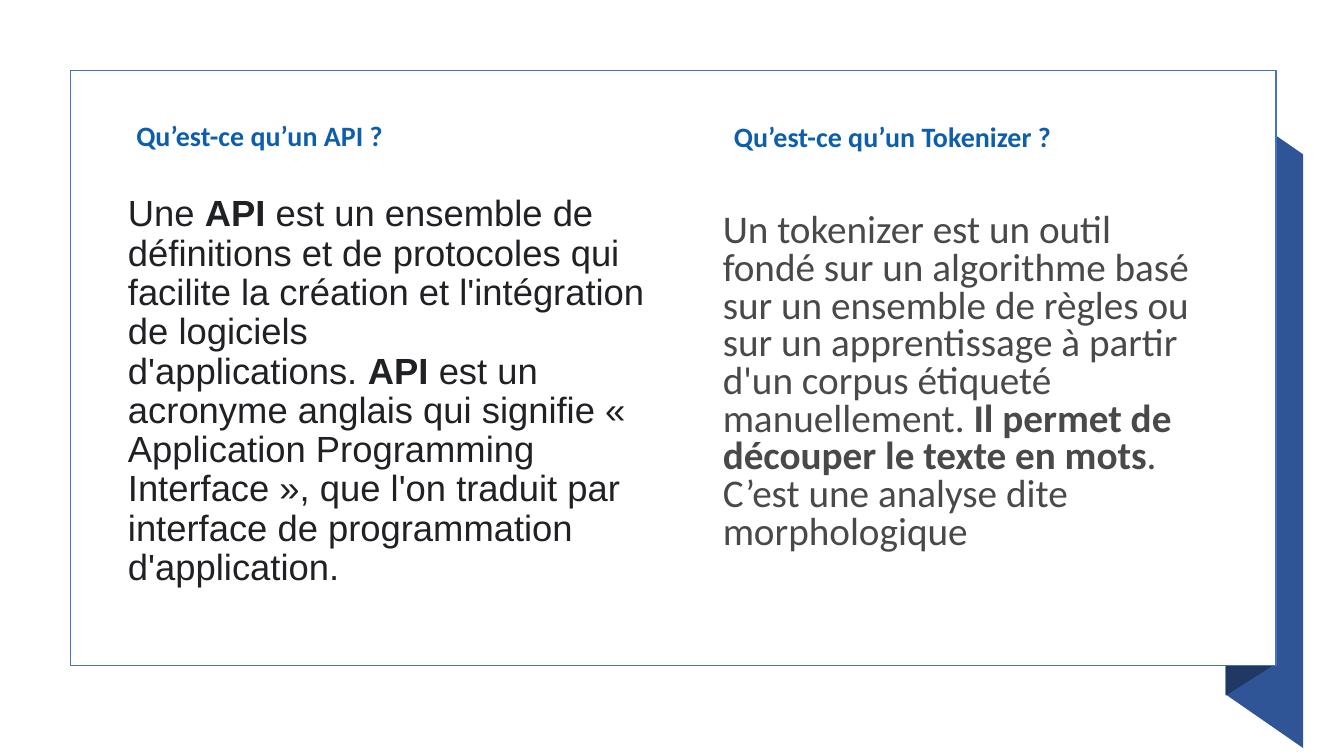
from dataclasses import dataclass

from lxml.etree import SubElement
from pptx import Presentation
from pptx.dml.color import RGBColor as RGB
from pptx.enum.shapes import MSO_SHAPE as Shape
from pptx.enum.text import MSO_ANCHOR as Anchor, MSO_AUTO_SIZE as AutoSize, PP_ALIGN as Align
from pptx.oxml.ns import qn
from pptx.util import Cm, Pt


# Colours and type styles
@dataclass(frozen=True)
class Theme:
    ribbon: str = "2F5597"
    fold: str = "203864"
    panel: str = "FFFFFF"
    border: str = "4472C4"
    heading = dict(name="Calibri", size=Pt(20), color="0D5EAD")
    api = dict(name="Arial", size=Pt(26), color="202124")
    tokenizer = dict(name="Calibri", size=Pt(28), color="494949")


class Deck:
    def __init__(self, prs, theme):
        self.theme = theme
        self.slide = prs.slides.add_slide(prs.slide_layouts.get_by_name("Comparison"))
        self.shapes = self.slide.shapes

    def paint(self, sp, fill, line=None):
        sp.shadow.inherit = False
        sp.fill.solid()
        sp.fill.fore_color.rgb = RGB.from_string(fill)
        if line:
            sp.line.color.rgb = RGB.from_string(line)
            sp.line.width = Pt(1)
        else:
            sp.line.fill.background()

    def polygon(self, points, fill):
        start, *rest = [(Cm(x), Cm(y)) for x, y in points]
        builder = self.shapes.build_freeform(*start, scale=1.0)
        builder.add_line_segments(rest, close=True)
        self.paint(builder.convert_to_shape(), fill)

    def panel(self, box, fill, line):
        sp = self.shapes.add_shape(Shape.RECTANGLE, *map(Cm, box))
        self.paint(sp, fill, line)

    def text(self, idx, box, runs, style, spacing=0.9):
        """Fill a placeholder with (text, bold) runs and bring it to the front."""
        sp = next(s for s in self.slide.placeholders if s.placeholder_format.idx == idx)
        sp.left, sp.top, sp.width, sp.height = map(Cm, box)
        self.shapes._spTree.append(sp._element)
        tf = sp.text_frame
        p = tf.paragraphs[0]
        frame = dict(word_wrap=True, auto_size=AutoSize.NONE, vertical_anchor=Anchor.TOP)
        para = dict(alignment=Align.LEFT, line_spacing=spacing,
                    space_before=Pt(0), space_after=Pt(6))
        for target, formats in ((tf, frame), (p, para)):
            for key, value in formats.items():
                setattr(target, key, value)
        pPr = p._p.get_or_add_pPr()
        pPr.set("marL", "0")
        pPr.set("indent", "0")
        SubElement(pPr, qn("a:buNone"))
        for words, bold in runs:
            r = p.add_run()
            r.text = words
            for key in ("name", "size"):
                setattr(r.font, key, style[key])
            r.font.bold = bold
            r.font.color.rgb = RGB.from_string(style["color"])

    def drop_title(self):
        title = self.shapes.title._element
        title.getparent().remove(title)


prs = Presentation()
prs.slide_width, prs.slide_height = Cm(33.87), Cm(19.05)
theme = Theme()
deck = Deck(prs, theme)
deck.drop_title()

# Folded ribbon behind the panel
deck.polygon([(32.84, 18.85), (30.89, 17.5), (30.89, 2.54), (32.84, 3.89)], theme.ribbon)
deck.polygon([(32.05, 16.79), (30.89, 17.53), (30.89, 2.54), (32.05, 1.78)], theme.fold)
deck.panel((1.78, 1.78, 30.38, 14.99), theme.panel, theme.border)

# API column
deck.text(1, (3.18, 2.95, 10.64, 1.09), [("Qu’est-ce qu’un API ?", True)], theme.heading)
deck.text(2, (2.97, 4.8, 14.27, 10.57), [
    ("Une\u00a0", False),
    ("API", True),
    ("\u00a0est un ensemble de définitions et de protocoles qui facilite la création "
     "et l'intégration de logiciels d'applications.\u00a0", False),
    ("API", True),
    ("\u00a0est un acronyme anglais qui signifie « Application Programming Interface », "
     "que l'on traduit par interface de programmation d'application.", False),
], theme.api)

# Tokenizer column
deck.text(3, (18.24, 2.97, 12.4, 1.09), [("Qu’est-ce qu’un Tokenizer ?", True)], theme.heading)
deck.text(4, (17.96, 5.26, 12.4, 10.19), [
    ("Un tokenizer est un outil fondé sur un algorithme basé sur un ensemble de règles "
     "ou sur un apprentissage à partir d'un corpus étiqueté manuellement.\u00a0", False),
    ("Il permet de découper le texte en mots", True),
    (". C’est une analyse dite morphologique", False),
], theme.tokenizer, spacing=0.8)

prs.save("out.pptx")
